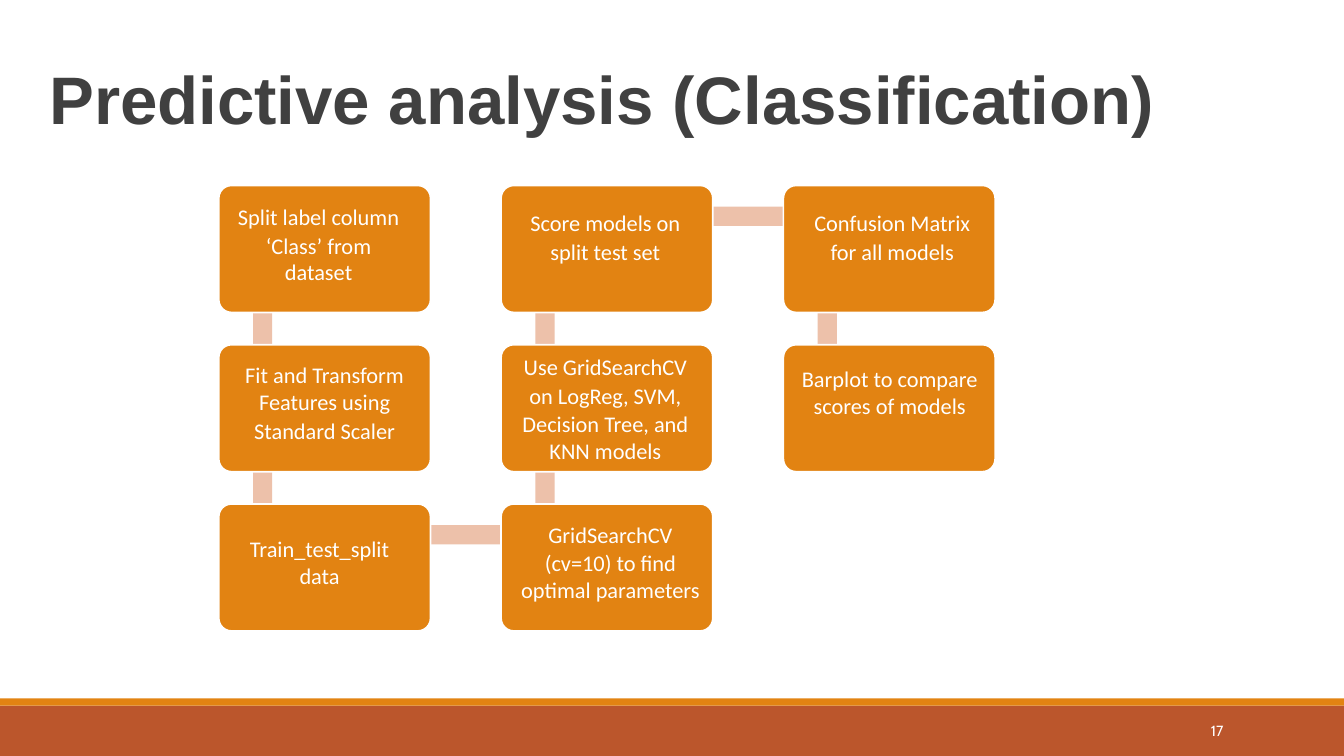
"""Build the slide that shows the classification workflow as a snaking chain of cards."""
from pptx import Presentation
from pptx.dml.color import RGBColor
from pptx.enum.shapes import MSO_SHAPE as Shape
from pptx.enum.text import MSO_ANCHOR as Anchor, PP_ALIGN as Align
from pptx.util import Inches, Pt

TITLE = "Predictive analysis (Classification)"
PAGE_NUMBER = "17"

# column, row, (left, top, right) text margins, paragraphs
STEPS = [
    (0, 0, (0.14, 0.14, 0.26), ["Split label column", "‘Class’ from dataset"]),
    (0, 1, (0, 0.13, 0), ["Fit and Transform Features using", "Standard Scaler"]),
    (0, 2, (0.06, 0.27, 0.16), ["Train_test_split data"]),
    (1, 2, (0.07, 0.13, 0), ["GridSearchCV", "(cv=10) to find optimal parameters"]),
    (1, 1, (0.06, 0.05, 0.09),
     ["Use GridSearchCV", "on LogReg, SVM,", "Decision Tree, and KNN models"]),
    (1, 0, (0.2, 0.2, 0.23), ["Score models on", "split test set"]),
    (2, 0, (0.22, 0.2, 0.16), ["Confusion Matrix", "for all models"]),
    (2, 1, (0.08, 0.17, 0.07), ["Barplot to compare scores of models"]),
]

ORANGE = RGBColor(0xE2, 0x83, 0x12)
RUST = RGBColor(0xBB, 0x56, 0x2C)
PEACH = RGBColor(0xED, 0xC1, 0xAA)
GREY = RGBColor(0x40, 0x40, 0x40)
WHITE = RGBColor(0xFF, 0xFF, 0xFF)

GRID_LEFT, GRID_TOP = 2.17, 1.84
COLUMN_STEP, ROW_STEP = 2.8, 1.58
CARD_WIDTH, CARD_HEIGHT = 2.1, 1.26
LINK = 0.19


def add_block(page, kind, left, top, width, height, color):
    block = page.shapes.add_shape(
        kind, Inches(left), Inches(top), Inches(width), Inches(height))
    block.shadow.inherit = False
    block.fill.solid()
    block.fill.fore_color.rgb = color
    block.line.fill.background()
    return block


def write(box, lines, margins, font, size, color, align, before=0, bold=False):
    frame = box.text_frame
    frame.word_wrap = True
    frame.vertical_anchor = Anchor.TOP
    frame.margin_left, frame.margin_top, frame.margin_right = map(Inches, margins)
    frame.margin_bottom = 0
    for index, line in enumerate(lines):
        para = frame.paragraphs[0] if index == 0 else frame.add_paragraph()
        para.text = line
        para.alignment = align
        para.space_before = Pt(before)
        para.font.name = font
        para.font.size = Pt(size)
        para.font.bold = bold
        para.font.color.rgb = color
    return frame


def add_text(page, left, top, width, height, *style, **options):
    box = page.shapes.add_textbox(
        Inches(left), Inches(top), Inches(width), Inches(height))
    return write(box, *style, **options)


def corner(column, row):
    return GRID_LEFT + column * COLUMN_STEP, GRID_TOP + row * ROW_STEP


def add_links(page):
    for (column, row, *_), (next_column, next_row, *_) in zip(STEPS, STEPS[1:]):
        left, top = corner(column, min(row, next_row))
        if column == next_column:
            area = (left + 0.34, top + 0.32, LINK, ROW_STEP)
        else:
            area = (left + 0.44, top + 0.21, COLUMN_STEP, LINK)
        add_block(page, Shape.RECTANGLE, *area, PEACH)


def add_cards(page):
    for column, row, margins, lines in STEPS:
        card = add_block(page, Shape.ROUNDED_RECTANGLE, *corner(column, row),
                         CARD_WIDTH, CARD_HEIGHT, ORANGE)
        card.adjustments[0] = 0.1
        card.line.color.rgb = WHITE
        card.line.width = Pt(1.2)
        write(card, lines, margins, "Calibri", 16, WHITE, Align.CENTER, before=1.1)


def main():
    deck = Presentation()
    deck.slide_width, deck.slide_height = Inches(13.33), Inches(7.5)
    page = deck.slides.add_slide(deck.slide_layouts[6])

    add_block(page, Shape.RECTANGLE, 0, 7, 13.33, 0.5, RUST)
    add_block(page, Shape.RECTANGLE, 0, 6.93, 13.33, 0.07, ORANGE)
    add_text(page, 0.48, 0.56, 11.5, 0.83, [TITLE], (0.01, 0.01, 0),
             "Arial", 48, GREY, Align.LEFT, before=1, bold=True)
    number = add_text(page, 11.97, 7.18, 0.23, 0.17, [PAGE_NUMBER], (0.04, 0, 0),
                      "Cabin", 10.5, WHITE, Align.LEFT)
    number.paragraphs[0].line_spacing = Pt(11)
    add_links(page)
    add_cards(page)

    deck.save("out.pptx")


if __name__ == "__main__":
    main()
